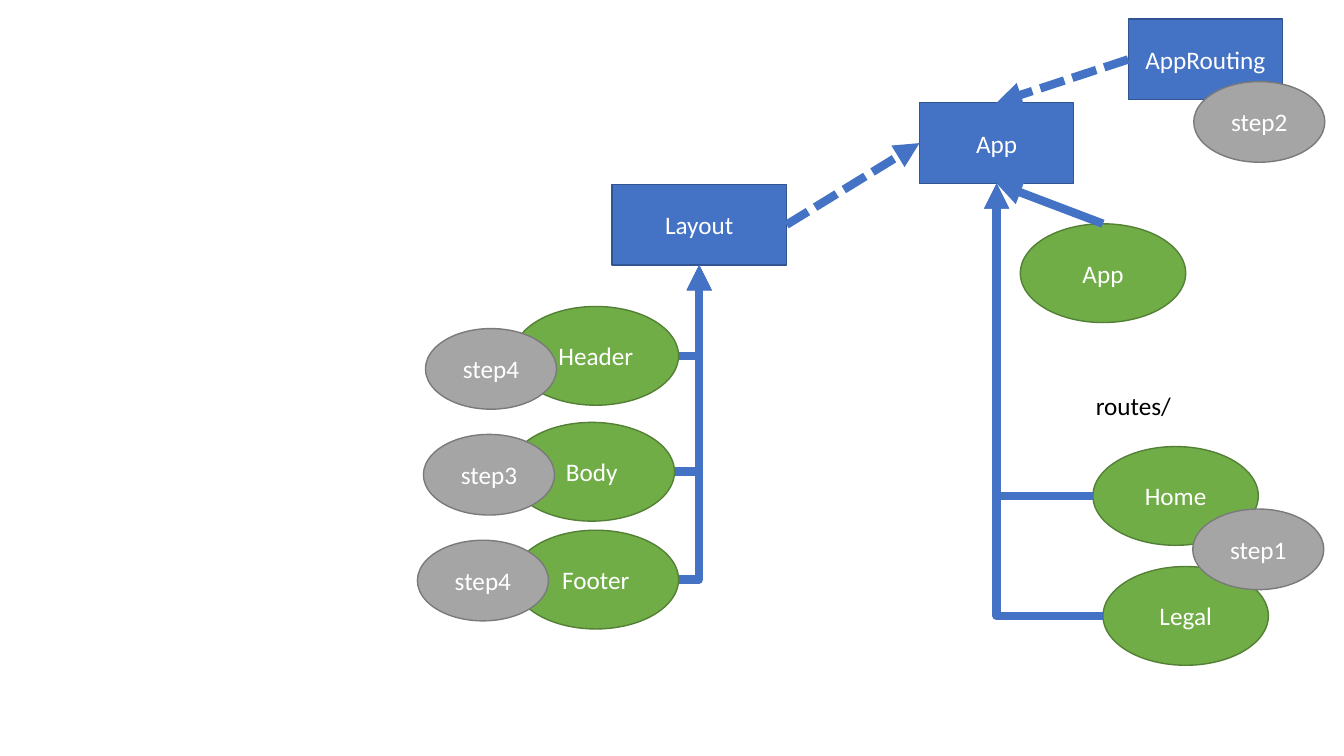
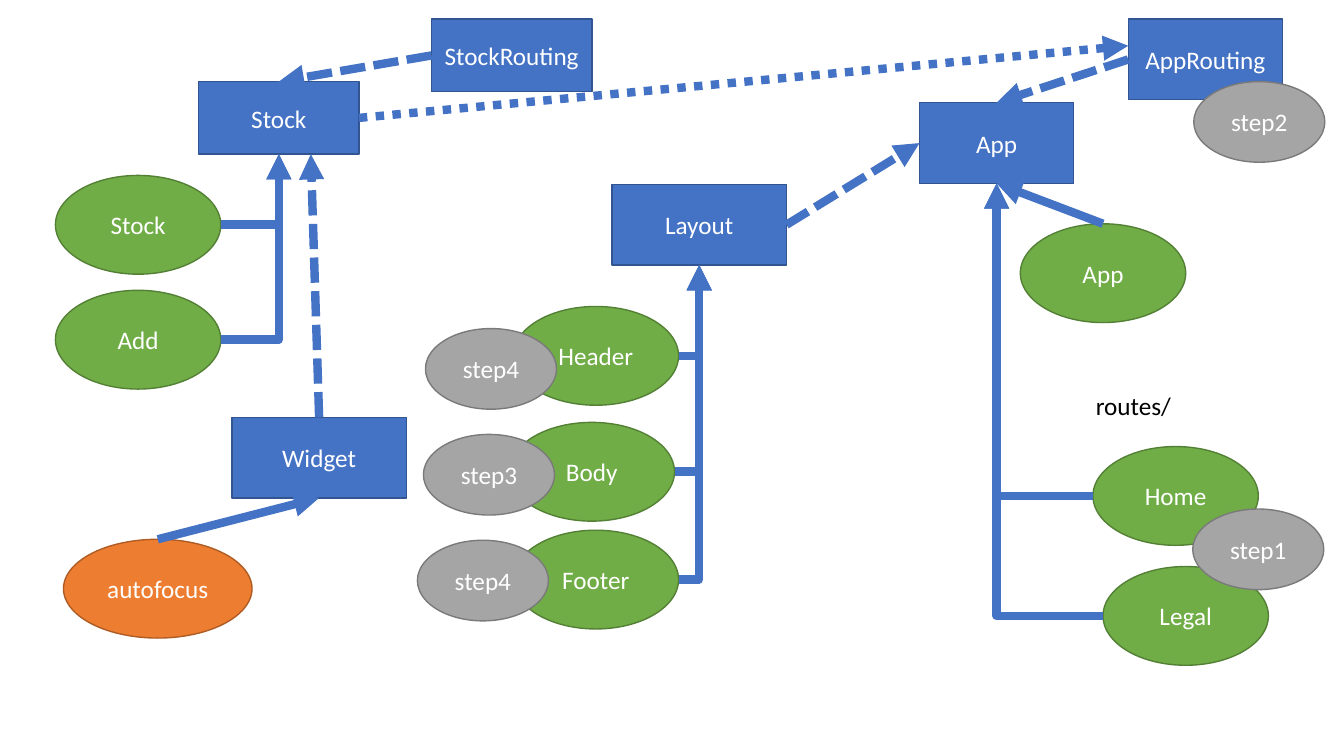
import pptx
import pptx.util
import pptx.dml.color
import pptx.enum.shapes
import pptx.enum.text
import pptx.oxml.ns
from lxml import etree

Inches, Pt = pptx.util.Inches, pptx.util.Pt
hex_color = pptx.dml.color.RGBColor.from_string
qn = pptx.oxml.ns.qn
RECT = pptx.enum.shapes.MSO_SHAPE.RECTANGLE
OVAL = pptx.enum.shapes.MSO_SHAPE.OVAL
STRAIGHT = pptx.enum.shapes.MSO_CONNECTOR.STRAIGHT
ELBOW = pptx.enum.shapes.MSO_CONNECTOR.ELBOW

FONT, SIZE = "Calibri", Pt(18)
BLUE, WHITE, BLACK = "4472C4", "FFFFFF", "000000"
KINDS = {
    "module": (RECT, BLUE, "325491", 1.53, 0.8),
    "wide module": (RECT, BLUE, "325491", 1.73, 0.8),
    "low module": (RECT, BLUE, "325491", 1.59, 0.72),
    "component": (OVAL, "70AD47", "538035", 1.64, 0.98),
    "directive": (OVAL, "ED7D31", "AF5C24", 1.87, 0.98),
    "step": (OVAL, "A5A5A5", "7A7A7A", 1.3, 0.8),
}
TOP, LEFT, BOTTOM, RIGHT = (0.5, 0), (0, 0.5), (0.5, 1), (1, 0.5)
SITES = [TOP, LEFT, BOTTOM, RIGHT]


def node(s, kind, text, x, y):
    preset, fill, line, w, h = KINDS[kind]
    sp = s.shapes.add_shape(preset, Inches(x), Inches(y), Inches(w), Inches(h))
    sp.shadow.inherit = False
    sp.fill.solid()
    sp.fill.fore_color.rgb = hex_color(fill)
    sp.line.color.rgb = hex_color(line)
    sp.line.width = Pt(1)
    tf = sp.text_frame
    tf.text = text
    tf.vertical_anchor = pptx.enum.text.MSO_ANCHOR.MIDDLE
    p = tf.paragraphs[0]
    p.alignment = pptx.enum.text.PP_ALIGN.CENTER
    r = p.runs[0]
    r.font.name, r.font.size = FONT, SIZE
    r.font.color.rgb = hex_color(WHITE)
    return sp


def link(s, start, start_at, end, end_at, dash=None, route=STRAIGHT):
    ends = [round(v) for sp, (fx, fy) in ((start, start_at), (end, end_at))
            for v in (sp.left + fx * sp.width, sp.top + fy * sp.height)]
    cxn = s.shapes.add_connector(route, *ends)
    cxn.line.color.rgb = hex_color(BLUE)
    cxn.line.width = Pt(6)
    props = cxn._element.spPr
    ln = props.find(qn("a:ln"))
    if dash:
        etree.SubElement(ln, qn("a:prstDash")).set("val", dash)
    etree.SubElement(ln, qn("a:tailEnd")).set("type", "triangle")
    etree.SubElement(props, qn("a:effectLst"))
    if route == ELBOW:
        props.find(qn("a:prstGeom")).set("prst", "bentConnector2")
        return
    if start_at in SITES:
        cxn.begin_connect(start, SITES.index(start_at))
    if end_at in SITES:
        cxn.end_connect(end, SITES.index(end_at))


prs = pptx.Presentation()
prs.slide_width, prs.slide_height = Inches(13.33), Inches(7.5)

for with_stock in (False, True):
    s = prs.slides.add_slide(prs.slide_layouts[6])

    app = node(s, "module", "App", 9.12, 1.02)
    app_view = node(s, "component", "App", 10.12, 2.22)
    app_routing = node(s, "module", "AppRouting", 11.19, 0.19)
    layout = node(s, "wide module", "Layout", 6.07, 1.83)
    link(s, app_view, TOP, app, BOTTOM)
    link(s, app_routing, LEFT, app, TOP, "sysDash")
    link(s, layout, RIGHT, app, LEFT, "sysDash")

    for text, x, y in (("Footer", 5.09, 5.26), ("Body", 5.05, 4.19), ("Header", 5.09, 3.04)):
        part = node(s, "component", text, x, y)
        link(s, part, RIGHT, layout, BOTTOM, route=ELBOW)

    for text, x, y in (("Home", 10.84, 4.43), ("Legal", 10.94, 5.62)):
        page = node(s, "component", text, x, y)
        link(s, page, LEFT, app, BOTTOM, route=ELBOW)

    tb = s.shapes.add_textbox(Inches(10.77), Inches(3.82), Inches(0.96), Inches(0.4))
    tf = tb.text_frame
    tf.word_wrap = False
    tf.auto_size = pptx.enum.text.MSO_AUTO_SIZE.SHAPE_TO_FIT_TEXT
    tf.text = "routes/"
    r = tf.paragraphs[0].runs[0]
    r.font.name, r.font.size = FONT, SIZE
    r.font.color.rgb = hex_color(BLACK)

    for text, x, y in (("step2", 11.84, 0.81), ("step1", 11.83, 5.05), ("step4", 4.22, 3.26),
                       ("step4", 4.14, 5.36), ("step3", 4.2, 4.31)):
        node(s, "step", text, x, y)

    if with_stock:
        stock = node(s, "low module", "Stock", 1.97, 0.81)
        stock_routing = node(s, "low module", "StockRouting", 4.28, 0.19)
        link(s, stock_routing, LEFT, stock, TOP, "sysDash")
        for text, y in (("Stock", 1.74), ("Add", 2.88)):
            view = node(s, "component", text, 0.55, y)
            link(s, view, RIGHT, stock, BOTTOM, route=ELBOW)
        link(s, stock, RIGHT, app_routing, (0, 0.33), "sysDot")
        autofocus = node(s, "directive", "autofocus", 0.63, 5.35)
        widget = node(s, "wide module", "Widget", 2.3, 4.14)
        link(s, autofocus, TOP, widget, BOTTOM)
        link(s, widget, TOP, stock, (0.7, 1), "sysDash")

prs.save("out.pptx")
